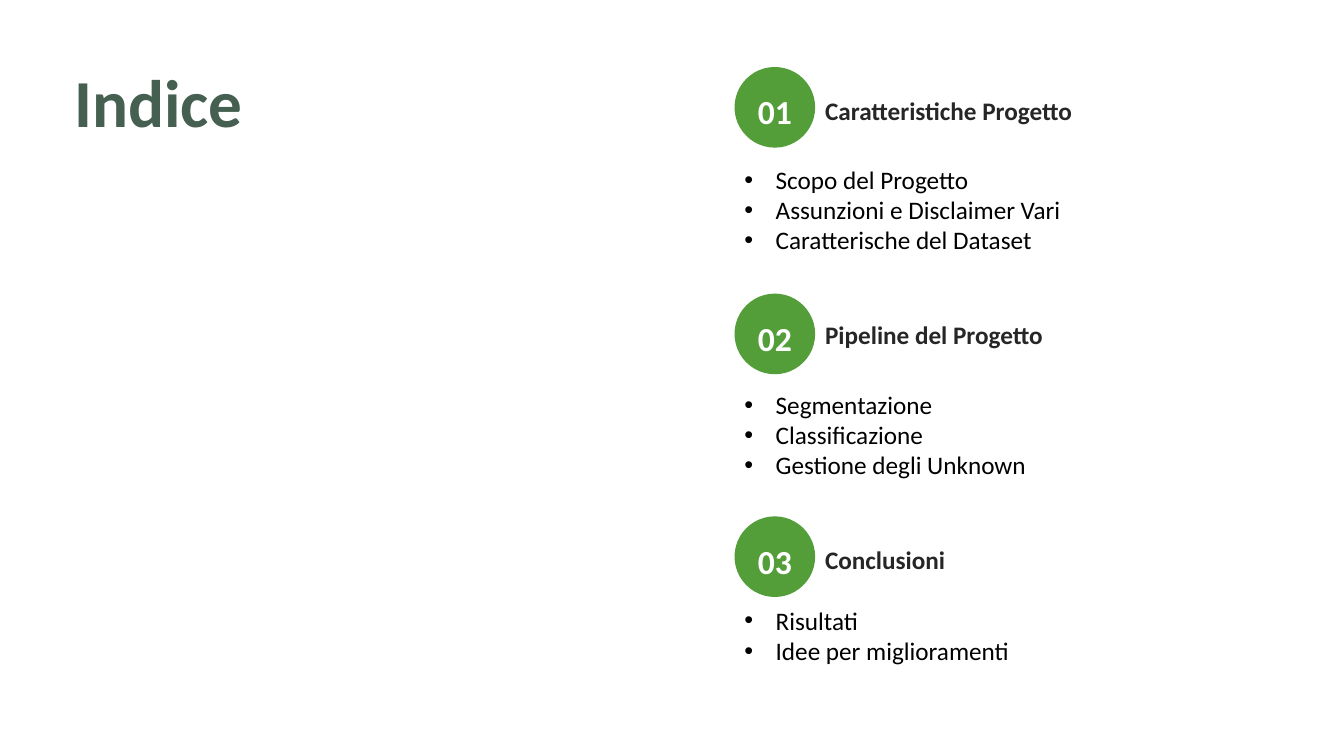
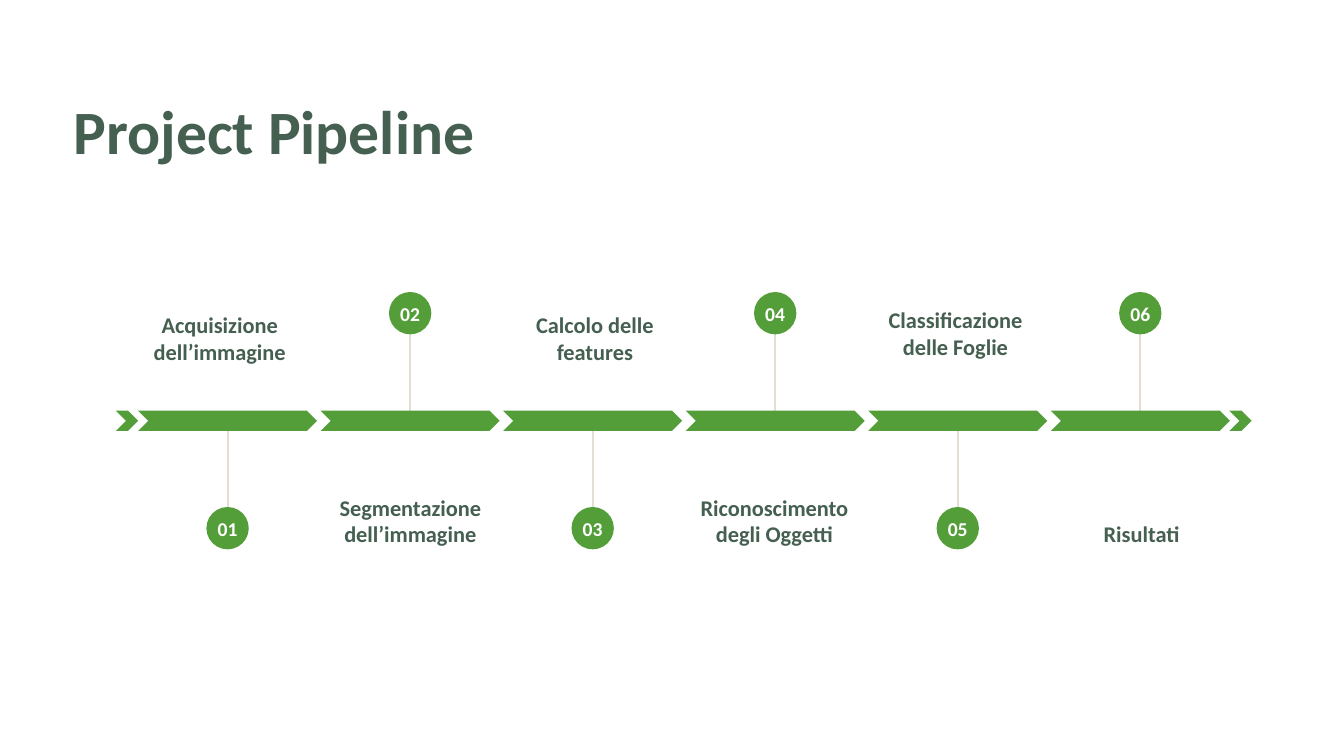
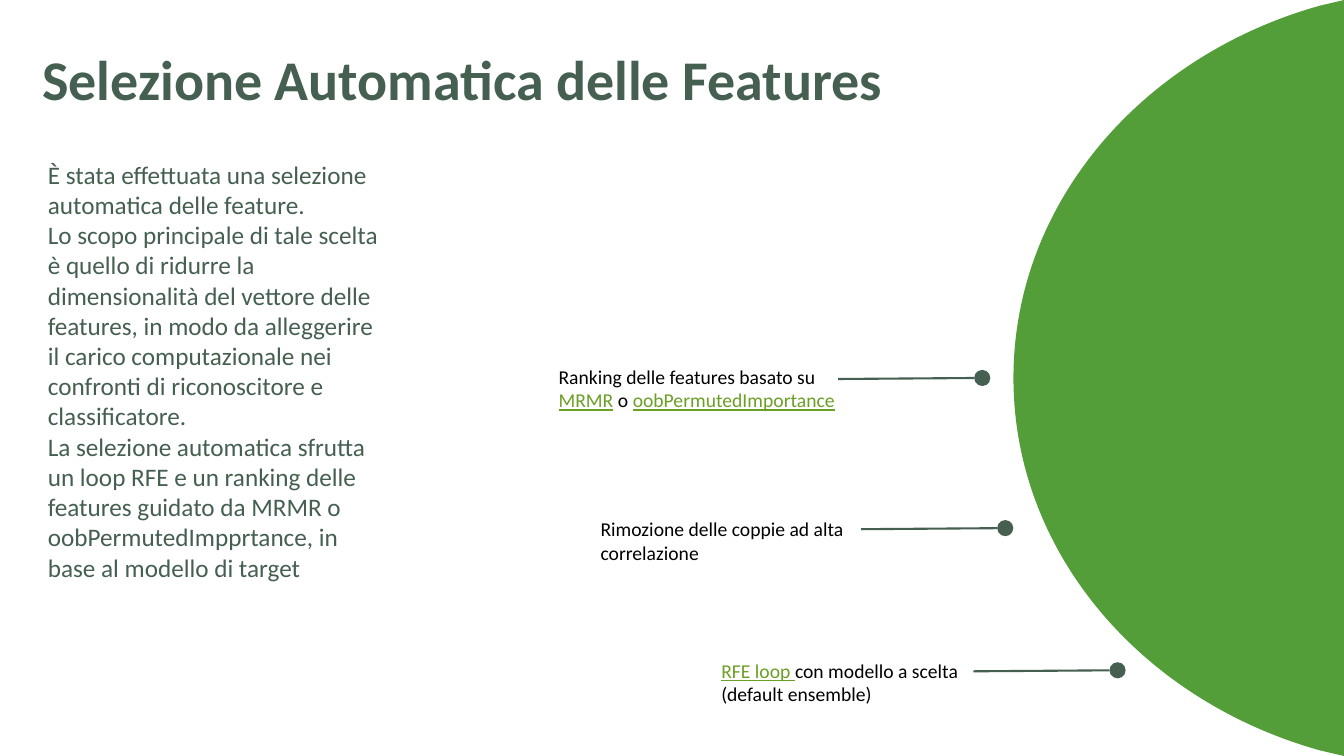
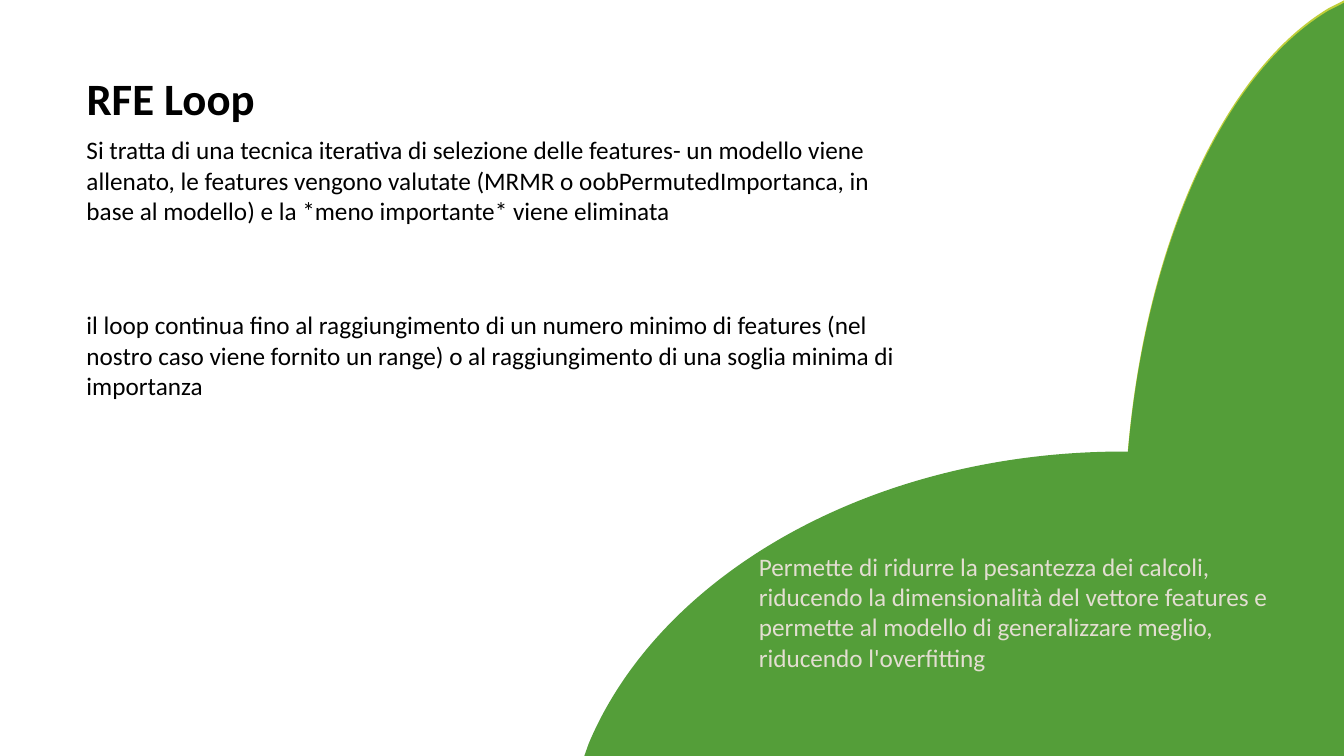
from dataclasses import dataclass

from lxml import etree
from pptx import Presentation
from pptx.dml.color import RGBColor
from pptx.enum.shapes import MSO_CONNECTOR, MSO_SHAPE
from pptx.enum.text import MSO_ANCHOR, MSO_AUTO_SIZE, PP_ALIGN
from pptx.oxml.ns import qn
from pptx.util import Emu, Inches, Pt

ELLIPSE, CHEVRON = MSO_SHAPE.OVAL, MSO_SHAPE.CHEVRON
STRAIGHT = MSO_CONNECTOR.STRAIGHT
TOP, MIDDLE, BOTTOM = MSO_ANCHOR.TOP, MSO_ANCHOR.MIDDLE, MSO_ANCHOR.BOTTOM
LEFT, CENTER = PP_ALIGN.LEFT, PP_ALIGN.CENTER
GROW = MSO_AUTO_SIZE.SHAPE_TO_FIT_TEXT

# All places and lengths are counted in square grid cells of a tenth of an inch.
CELL = Inches(0.1)
COLUMNS, ROWS = 133.33, 75


@dataclass(frozen=True)
class Theme:
    font: str = "Calibri"
    green: str = "549E39"
    lime: str = "C0CF3A"
    slate: str = "455F51"
    sand: str = "E3DED1"
    link: str = "6B9F25"
    heading: str = "262626"
    black: str = "000000"
    white: str = "FFFFFF"
    number: int = 24
    body: int = 18
    step: int = 16
    small: int = 14
    line: float = 1.5


THEME = Theme()


@dataclass(frozen=True)
class Box:
    left: float
    top: float
    width: float
    height: float

    def emu(self) -> tuple[Emu, ...]:
        return tuple(cells(n) for n in (self.left, self.top, self.width, self.height))


@dataclass(frozen=True)
class Style:
    size: float = THEME.body
    color: str = THEME.black
    bold: bool = False
    underline: bool = False
    align: PP_ALIGN = LEFT
    spacing: float = 1.0


@dataclass(frozen=True)
class Section:
    heading: str
    points: tuple[str, ...]
    badge_top: float
    heading_top: float
    points_top: float


@dataclass(frozen=True)
class Step:
    label: str
    shift_x: float = 0
    shift_y: float = 0


@dataclass(frozen=True)
class Callout:
    """A text of (words, is_link) pieces and the dot that its line leads to."""
    pieces: tuple[tuple[str, bool], ...]
    text_left: float
    text_top: float
    dot_left: float
    dot_top: float


SECTIONS = (
    Section("Caratteristiche Progetto",
            ("Scopo del Progetto", "Assunzioni e Disclaimer Vari", "Caratterische del Dataset"),
            6.65, 6.7, 15.8),
    Section("Pipeline del Progetto",
            ("Segmentazione", "Classificazione", "Gestione degli Unknown"),
            29.13, 28.85, 38.13),
    Section("Conclusioni", ("Risultati", "Idee per miglioramenti"), 51.23, 51.2, 59.54),
)

STEPS = (
    Step("Acquisizione dell’immagine", shift_x=-0.8),
    Step("Segmentazione dell’immagine"),
    Step("Calcolo delle features", shift_x=0.2),
    Step("Riconoscimento degli Oggetti", shift_x=-0.1),
    Step("Classificazione delle Foglie", shift_x=-0.25, shift_y=-0.5),
    Step("Risultati", shift_x=0.1),
)

CALLOUTS = (
    Callout((("Ranking delle features basato su ", False), ("MRMR", True),
             (" o ", False), ("oobPermutedImportance", True)), 54.43, 35.7, 96.65, 36.7),
    Callout((("Rimozione delle coppie ad alta correlazione", False),), 58.6, 50.8, 98.93, 51.6),
    Callout((("RFE loop ", True), ("con modello a scelta (default ensemble)", False)),
            70.57, 64.87, 110.07, 65.7),
)

SELECTION_TEXT = (
    "È stata effettuata una selezione automatica delle feature.\v"
    "Lo scopo principale di tale scelta è quello di ridurre la dimensionalità del vettore "
    "delle features, in modo da alleggerire il carico computazionale nei confronti di "
    "riconoscitore e classificatore.",
    "La selezione automatica sfrutta un loop RFE e un ranking delle features guidato da "
    "MRMR o oobPermutedImpprtance, in base al modello di target",
)
LOOP_TEXT = (
    "Si tratta di una tecnica iterativa di selezione delle features- un modello viene "
    "allenato, le features vengono valutate (MRMR o oobPermutedImportanca, in base al "
    "modello) e la *meno importante* viene eliminata"
)
STOP_TEXT = (
    "il loop continua fino al raggiungimento di un numero minimo di features (nel nostro "
    "caso viene fornito un range) o al raggiungimento di una soglia minima di importanza"
)
BENEFIT_TEXT = (
    "Permette di ridurre la pesantezza dei calcoli, riducendo la dimensionalità del vettore "
    "features e permette al modello di generalizzare meglio, riducendo l'overfitting"
)

# Left half of a dome, from its crown to its foot, in percent of its width and height:
# a curve of four control points, then a straight run to the corner.
DOME_HALF = ((50, 0), (26.8, 0), (7.3, 39.1), (0.75, 92.7), (0, 100))


def cells(count: float) -> Emu:
    return Emu(round(count * CELL))


def rgb(color: str) -> RGBColor:
    return RGBColor.from_string(color)


def format_run(run, style: Style) -> None:
    run.font.name = THEME.font
    run.font.size = Pt(style.size)
    run.font.bold = style.bold
    run.font.underline = style.underline
    run.font.color.rgb = rgb(style.color)


def set_insets(frame, across: float, down: float) -> None:
    frame.margin_left = frame.margin_right = cells(across)
    frame.margin_top = frame.margin_bottom = cells(down)


def fill_frame(frame, paragraphs: tuple[str, ...], style: Style) -> None:
    for index, words in enumerate(paragraphs):
        paragraph = frame.add_paragraph() if index else frame.paragraphs[0]
        paragraph.text = words
        paragraph.alignment = style.align
        paragraph.line_spacing = style.spacing
        for run in paragraph.runs:
            format_run(run, style)


def add_text(slide, box: Box, paragraphs: tuple[str, ...], style: Style,
             anchor=TOP, insets: tuple[float, float] = (1, 0.5), grow: bool = False):
    frame = slide.shapes.add_textbox(*box.emu()).text_frame
    frame.word_wrap = True
    frame.vertical_anchor = anchor
    if grow:
        frame.auto_size = GROW
    set_insets(frame, *insets)
    fill_frame(frame, paragraphs, style)
    return frame


def add_title(slide, box: Box, words: str, size: float, color: str = THEME.slate) -> None:
    style = Style(size, color, bold=True, spacing=0.9)
    add_text(slide, box, (words,), style, MIDDLE)


def add_bullets(frame) -> None:
    indent = cells(3.1)
    for paragraph in frame.paragraphs:
        properties = paragraph._p.get_or_add_pPr()
        properties.set("marL", str(indent))
        properties.set("indent", str(-indent))
        etree.SubElement(properties, qn("a:buFont"), typeface="Arial")
        etree.SubElement(properties, qn("a:buChar"), char="•")


def paint(shape, color: str) -> None:
    shape.shadow.inherit = False
    shape.fill.solid()
    shape.fill.fore_color.rgb = rgb(color)
    shape.line.fill.background()


def add_preset(slide, kind, box: Box, color: str):
    shape = slide.shapes.add_shape(kind, *box.emu())
    paint(shape, color)
    return shape


def add_badge(slide, left: float, top: float, side: float, number: int,
              size: float, spacing: float) -> None:
    frame = add_preset(slide, ELLIPSE, Box(left, top, side, side), THEME.green).text_frame
    frame.word_wrap = False
    frame.vertical_anchor = MIDDLE
    set_insets(frame, 0, 0)
    style = Style(size, THEME.white, bold=True, align=CENTER, spacing=spacing)
    fill_frame(frame, (f"{number:02}",), style)


def add_line(slide, x1: float, y1: float, x2: float, y2: float, color: str) -> None:
    line = slide.shapes.add_connector(STRAIGHT, *(cells(n) for n in (x1, y1, x2, y2)))
    line.line.color.rgb = rgb(color)
    line.line.width = Pt(THEME.line)
    etree.SubElement(line._element.spPr, qn("a:effectLst"))


def merge_into_curve(segments) -> None:
    """Turn three straight outline segments into one cubic curve."""
    curve = etree.Element(qn("a:cubicBezTo"))
    segments[0].addprevious(curve)
    for segment in segments:
        curve.append(segment[0])
        segment.getparent().remove(segment)


def add_dome(slide, box: Box, color: str, rotation: float = 0) -> None:
    right_half = [(100 - x, y) for x, y in reversed(DOME_HALF)]
    points = [(cells(box.left + x / 100 * box.width), cells(box.top + y / 100 * box.height))
              for x, y in (*DOME_HALF, *right_half)]
    builder = slide.shapes.build_freeform(*points[0], scale=1.0)
    builder.add_line_segments(points[1:], close=True)
    dome = builder.convert_to_shape()
    segments = list(dome._element.iter(qn("a:lnTo")))
    merge_into_curve(segments[:3])
    merge_into_curve(segments[6:9])
    dome.rotation = rotation
    paint(dome, color)


def draw_index(slide) -> None:
    left, badge, width = 72.87, 8, 36.2
    heading_style = Style(color=THEME.heading, bold=True, spacing=1.2)
    add_title(slide, Box(6.4, 6.4, 33.2, 8.2), "Indice", 48)
    for number, section in enumerate(SECTIONS, 1):
        add_badge(slide, left, section.badge_top, badge, number, THEME.number, 1.2)
        add_text(slide, Box(left + badge, section.heading_top, width - badge, badge),
                 (section.heading,), heading_style, MIDDLE, (1, 0))
        points_box = Box(left, section.points_top, width, 1 + 3 * len(section.points))
        add_bullets(add_text(slide, points_box, section.points, Style(), grow=True))


def draw_pipeline(slide) -> None:
    first, pitch, arrow_width = 13.7, 18.11, 17.75
    band_top, band_height, tip_width = 40.75, 2, 2.2
    badge, label_width, label_height = 4.2, 17.8, 5.9
    label_style = Style(THEME.step, THEME.slate, bold=True, align=CENTER)
    add_title(slide, Box(6.3, 9.4, 118.1, 7.9), "Project Pipeline", 44)
    for index, step in enumerate(STEPS):
        left = first + index * pitch
        middle = left + arrow_width / 2
        badge_above = index % 2 == 1
        badge_top = 28.97 if badge_above else 50.3
        label_top = 48.4 if badge_above else 30.33
        add_line(slide, middle, band_top + band_height / 2,
                 middle, badge_top + badge / 2, THEME.sand)
        add_preset(slide, CHEVRON, Box(left, band_top, arrow_width, band_height), THEME.green)
        add_badge(slide, middle - badge / 2, badge_top, badge, index + 1, THEME.small, 1)
        add_text(slide, Box(left + step.shift_x, label_top + step.shift_y,
                            label_width, label_height),
                 (step.label,), label_style, BOTTOM, (0, 0))
    for tip_left in (first - tip_width, first + len(STEPS) * pitch - 0.4):
        add_preset(slide, CHEVRON, Box(tip_left, band_top, tip_width, band_height), THEME.green)


def draw_selection(slide) -> None:
    dot, line_length = 1.6, 13.5
    add_title(slide, Box(3.2, 4, 108.5, 8.3), "Selezione Automatica delle Features", 40)
    add_dome(slide, Box(79.44, 21.1, ROWS, 32.8), THEME.green, rotation=270)
    add_text(slide, Box(3.76, 15.27, 35.8, 43.4), SELECTION_TEXT,
             Style(color=THEME.slate), grow=True)
    for callout in CALLOUTS:
        line_y = callout.dot_top + dot / 2
        add_line(slide, callout.dot_left, line_y,
                 callout.dot_left - line_length, line_y + 0.1, THEME.slate)
        add_preset(slide, ELLIPSE, Box(callout.dot_left, callout.dot_top, dot, dot), THEME.slate)
        frame = add_text(slide, Box(callout.text_left, callout.text_top, 30, 5.7),
                         (), Style(THEME.small), grow=True)
        for words, is_link in callout.pieces:
            run = frame.paragraphs[0].add_run()
            run.text = words
            color = THEME.link if is_link else THEME.black
            format_run(run, Style(THEME.small, color, underline=is_link))


def draw_loop(slide) -> None:
    left, width, span = 7.6, 82.6, 107.7
    for top, color in ((42.9, THEME.lime), (43.15, THEME.green)):
        add_dome(slide, Box(68.6, top, span, 21.9), color, rotation=270)
    add_dome(slide, Box(57.6, 44.8, span, 31.25), THEME.green)
    add_title(slide, Box(left, 6.1, 118.1, 7.9), "RFE Loop", 32, THEME.black)
    add_text(slide, Box(left, 12.86, width, 13.1), (LOOP_TEXT,), Style(), grow=True)
    add_text(slide, Box(left, 30.23, width, 10.1), (STOP_TEXT,), Style(), grow=True)
    add_text(slide, Box(74.3, 54.2, 55.3, 13.1), (BENEFIT_TEXT,),
             Style(color=THEME.sand), grow=True)


def main() -> None:
    deck = Presentation()
    deck.slide_width, deck.slide_height = cells(COLUMNS), cells(ROWS)
    blank = deck.slide_layouts[6]
    for draw in (draw_index, draw_pipeline, draw_selection, draw_loop):
        draw(deck.slides.add_slide(blank))
    deck.save("out.pptx")


if __name__ == "__main__":
    main()
